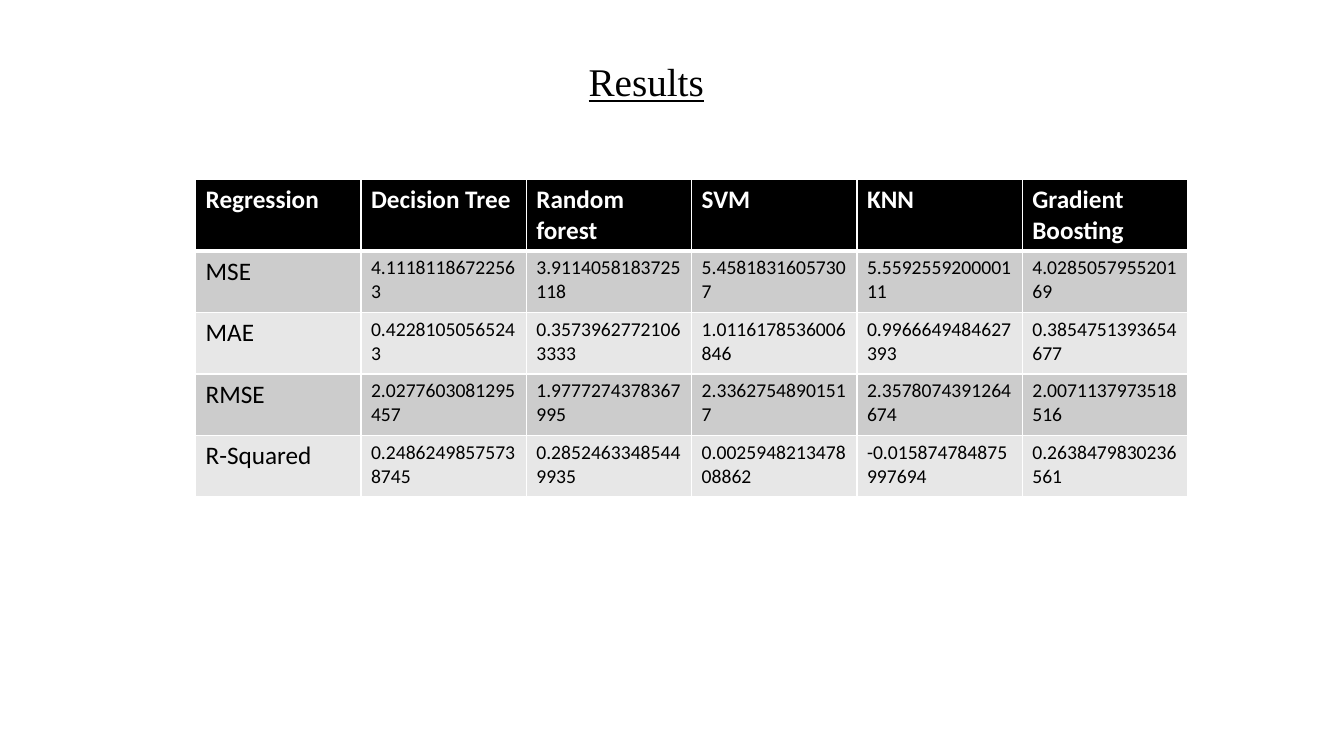
import pptx
import pptx.util
import pptx.dml.color
import pptx.enum.text
import pptx.oxml
import pptx.oxml.ns

TITLE = "Results"
HEADER = ["Regression", "Decision Tree", "Random forest", "SVM", "KNN", "Gradient Boosting"]
METRICS = [
    ["MSE", "4.11181186722563", "3.9114058183725118", "5.45818316057307",
     "5.559255920000111", "4.028505795520169"],
    ["MAE", "0.42281050565243", "0.35739627721063333", "1.0116178536006846",
     "0.9966649484627393", "0.3854751393654677"],
    ["RMSE", "2.0277603081295457", "1.9777274378367995", "2.33627548901517",
     "2.3578074391264674", "2.0071137973518516"],
    ["R-Squared", "0.24862498575738745", "0.28524633485449935", "0.002594821347808862",
     "-0.015874784875997694", "0.2638479830236561"],
]
COLORS = {"black": "000000", "white": "FFFFFF", "dark": "CCCCCC", "light": "E7E7E7"}
COL_W, ROW_H = 1.64, 0.61
TABLE_LEFT, TABLE_TOP = 1.94, 1.78

inch = pptx.util.Inches


def rgb(name):
    return pptx.dml.color.RGBColor.from_string(COLORS[name])


def write(tf, text, size=18, font="Calibri", color="black", bold=False,
          underline=False, align=pptx.enum.text.PP_ALIGN.LEFT):
    p = tf.paragraphs[0]
    p.alignment = align
    r = p.add_run()
    r.text = text
    r.font.size = pptx.util.Pt(size)
    r.font.name = font
    r.font.color.rgb = rgb(color)
    r.font.bold = bold
    r.font.underline = underline


def add_borders(cell, bottom):
    tc_pr = cell._tc.get_or_add_tcPr()
    for side in "LRTB":
        width = pptx.util.Pt(bottom if side == "B" else 1)
        tc_pr.append(pptx.oxml.parse_xml(
            f'<a:ln{side} {pptx.oxml.ns.nsdecls("a")} w="{width}"><a:solidFill>'
            f'<a:srgbClr val="{COLORS["white"]}"/></a:solidFill></a:ln{side}>'))


prs = pptx.Presentation()
prs.slide_width, prs.slide_height = inch(13.33), inch(7.5)
s = prs.slides.add_slide(prs.slide_layouts[5])

title = s.shapes.title
title.left, title.top, title.width, title.height = map(inch, (3.83, 0.52, 5.16, 0.57))
title.text_frame.vertical_anchor = pptx.enum.text.MSO_ANCHOR.MIDDLE
write(title.text_frame, TITLE, size=28, font="Times New Roman", underline=True,
      align=pptx.enum.text.PP_ALIGN.CENTER)

rows = [HEADER] + METRICS
table = s.shapes.add_table(len(rows), len(HEADER), inch(TABLE_LEFT), inch(TABLE_TOP),
                           inch(COL_W * len(HEADER)), inch(ROW_H * len(rows))).table
for column in table.columns:
    column.width = inch(COL_W)
for i, row in enumerate(rows):
    table.rows[i].height = inch(ROW_H)
    head = i == 0
    fill = "black" if head else "dark" if i % 2 else "light"
    for j, text in enumerate(row):
        cell = table.cell(i, j)
        add_borders(cell, bottom=3 if head else 1)
        cell.fill.solid()
        cell.fill.fore_color.rgb = rgb(fill)
        write(cell.text_frame, text, size=18 if head or j == 0 else 14,
              color="white" if head else "black", bold=head)

prs.save("out.pptx")
